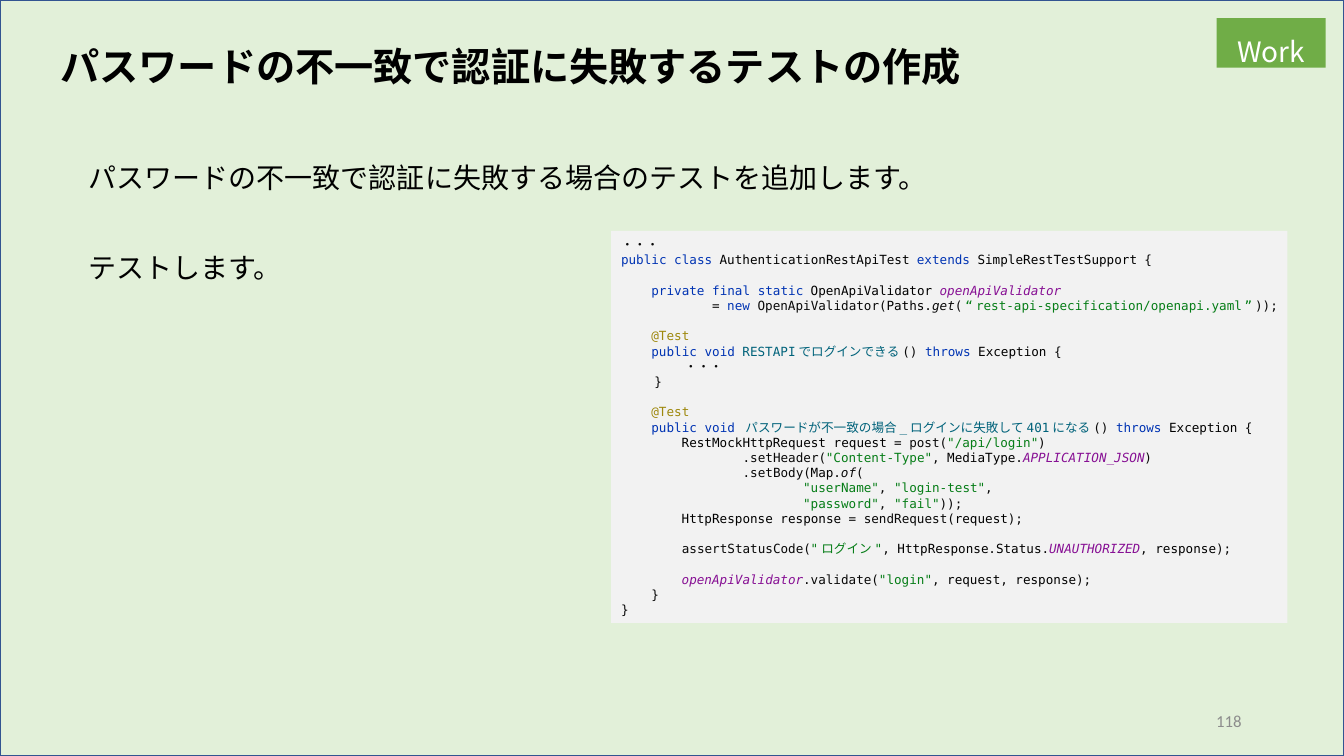
from lxml import etree
from pptx import Presentation
from pptx.dml.color import RGBColor
from pptx.enum import shapes, text
from pptx.oxml import ns
from pptx.util import Pt

JAPANESE, LATIN, MONO = "Noto Sans CJK JP", "Calibri", "DejaVu Sans Mono"

HEADING = "パスワードの不一致で認証に失敗するテストの作成"
STEPS = ["パスワードの不一致で認証に失敗する場合のテストを追加します。", "テストします。"]
TAG = "Work"
PAGE = "118"

SYNTAX = {
    "plain": ("080808", False),
    "call": ("080808", True),
    "name": ("000000", False),
    "key": ("0033B3", False),
    "field": ("871094", True),
    "string": ("067D17", False),
    "mark": ("9E880D", False),
    "method": ("00627A", False),
}
CODE = [
    ("plain", "・・・\n"),
    ("key", "public class "), ("name", "AuthenticationRestApiTest "),
    ("key", "extends "), ("name", "SimpleRestTestSupport "), ("plain", "{\n\n    "),
    ("key", "private final static "), ("name", "OpenApiValidator "),
    ("field", "openApiValidator\n            "),
    ("plain", "= "), ("key", "new "), ("plain", "OpenApiValidator("),
    ("name", "Paths"), ("plain", "."), ("call", "get"), ("plain", "("),
    ("string", "“rest-api-specification/openapi.yaml”"), ("plain", "));\n\n    "),
    ("mark", "@Test\n    "),
    ("key", "public void "), ("method", "RESTAPIでログインできる"), ("plain", "() "),
    ("key", "throws "), ("name", "Exception "),
    ("plain", "{\n        ・・・\n    }\n\n    "),
    ("mark", "@Test\n    "),
    ("key", "public void "),
    ("method", "パスワードが不一致の場合_ログインに失敗して401になる"), ("plain", "() "),
    ("key", "throws "), ("name", "Exception "), ("plain", "{\n        "),
    ("name", "RestMockHttpRequest request "), ("plain", "= post("),
    ("string", '"/api/login"'), ("plain", ")\n                .setHeader("),
    ("string", '"Content-Type"'), ("plain", ", "), ("name", "MediaType"),
    ("plain", "."), ("field", "APPLICATION_JSON"),
    ("plain", ")\n                .setBody("), ("name", "Map"), ("plain", "."),
    ("call", "of"), ("plain", "(\n                        "),
    ("string", '"userName"'), ("plain", ", "), ("string", '"login-test"'),
    ("plain", ",\n                        "),
    ("string", '"password"'), ("plain", ", "), ("string", '"fail"'),
    ("plain", "));\n        "),
    ("name", "HttpResponse response "), ("plain", "= sendRequest("),
    ("name", "request"), ("plain", ");\n\n        assertStatusCode("),
    ("string", '"ログイン"'), ("plain", ", "), ("name", "HttpResponse"),
    ("plain", "."), ("name", "Status"), ("plain", "."), ("field", "UNAUTHORIZED"),
    ("plain", ", "), ("name", "response"), ("plain", ");\n\n        "),
    ("field", "openApiValidator"), ("plain", ".validate("), ("string", '"login"'),
    ("plain", ", "), ("name", "request"), ("plain", ", "), ("name", "response"),
    ("plain", ");\n    }\n}"),
]

WIDTH, HEIGHT = 960, 540
LEADING, CODE_LEADING = 32, 10.86


def paint(color_format, color):
    color_format.rgb = RGBColor.from_string(color)


def place(shape, left, top, width, height):
    shape.left, shape.top = Pt(left), Pt(top)
    shape.width, shape.height = Pt(width), Pt(height)


def set_frame(shape, anchor=text.MSO_ANCHOR.TOP):
    frame = shape.text_frame
    frame.word_wrap = True
    frame.auto_size = text.MSO_AUTO_SIZE.NONE
    frame.vertical_anchor = anchor
    return frame


def set_font(paragraph, size, face, color, bold=False):
    font = paragraph.font
    font.size, font.name, font.bold = Pt(size), face, bold
    paint(font.color, color)
    latin = paragraph._p.pPr.find(ns.qn("a:defRPr")).find(ns.qn("a:latin"))
    east_asian = etree.Element(ns.qn("a:ea"), typeface=face)
    latin.addnext(east_asian)


def add_panel(slide, left, top, width, height, color, border=None):
    panel = slide.shapes.add_shape(
        shapes.MSO_SHAPE.RECTANGLE, Pt(left), Pt(top), Pt(width), Pt(height))
    panel.shadow.inherit = False
    panel.fill.solid()
    paint(panel.fill.fore_color, color)
    if border:
        paint(panel.line.color, border)
        panel.line.width = Pt(1)
    else:
        panel.line.fill.background()
    return panel


def write_code(paragraph):
    for kind, piece in CODE:
        color, italic = SYNTAX[kind]
        for index, part in enumerate(piece.split("\n")):
            if index:
                paragraph.add_line_break()
            if part:
                run = paragraph.add_run()
                run.text = part
                paint(run.font.color, color)
                run.font.italic = italic


def main():
    deck = Presentation()
    deck.slide_width, deck.slide_height = Pt(WIDTH), Pt(HEIGHT)
    slide = deck.slides.add_slide(deck.slide_layouts[1])

    backdrop = add_panel(slide, 0, 0, WIDTH, HEIGHT, "E2F0D9", "325491")
    slide.shapes.element.insert(2, backdrop.element)

    heading = slide.shapes.title
    place(heading, 36, 26.6, 739, 41)
    line = set_frame(heading).paragraphs[0]
    line.text = HEADING
    line.alignment = text.PP_ALIGN.LEFT
    line.line_spacing = 1.0
    set_font(line, 28, JAPANESE, "000000", bold=True)

    steps = slide.placeholders[1]
    place(steps, 56, 103, 857.5, 100)
    frame = set_frame(steps)
    for index, step in enumerate(STEPS):
        line = frame.add_paragraph() if index else frame.paragraphs[0]
        line.text = step
        line.line_spacing = Pt(LEADING)
        line.space_before = Pt(LEADING if index else 0)
        properties = line._p.get_or_add_pPr()
        properties.set("marL", "0")
        properties.set("indent", "0")
        etree.SubElement(properties, ns.qn("a:buNone"))
        set_font(line, 20, JAPANESE, "000000")

    tag = add_panel(slide, 869, 13, 78, 35.3, "70AD47")
    line = set_frame(tag).paragraphs[0]
    line.text = TAG
    line.alignment = text.PP_ALIGN.CENTER
    line.line_spacing = Pt(LEADING)
    set_font(line, 20, JAPANESE, "FFFFFF")

    page = slide.shapes.add_textbox(Pt(678), Pt(500.5), Pt(216), Pt(29))
    line = set_frame(page, text.MSO_ANCHOR.MIDDLE).paragraphs[0]
    line.text = PAGE
    line.alignment = text.PP_ALIGN.RIGHT
    set_font(line, 12, LATIN, "8C8C8C")

    listing = add_panel(slide, 436.5, 165, 483, 280, "F2F2F2")
    frame = set_frame(listing, text.MSO_ANCHOR.MIDDLE)
    frame.margin_right = 0
    line = frame.paragraphs[0]
    line.alignment = text.PP_ALIGN.LEFT
    line.line_spacing = Pt(CODE_LEADING)
    set_font(line, 9, MONO, SYNTAX["plain"][0])
    write_code(line)

    deck.save("out.pptx")


if __name__ == "__main__":
    main()
